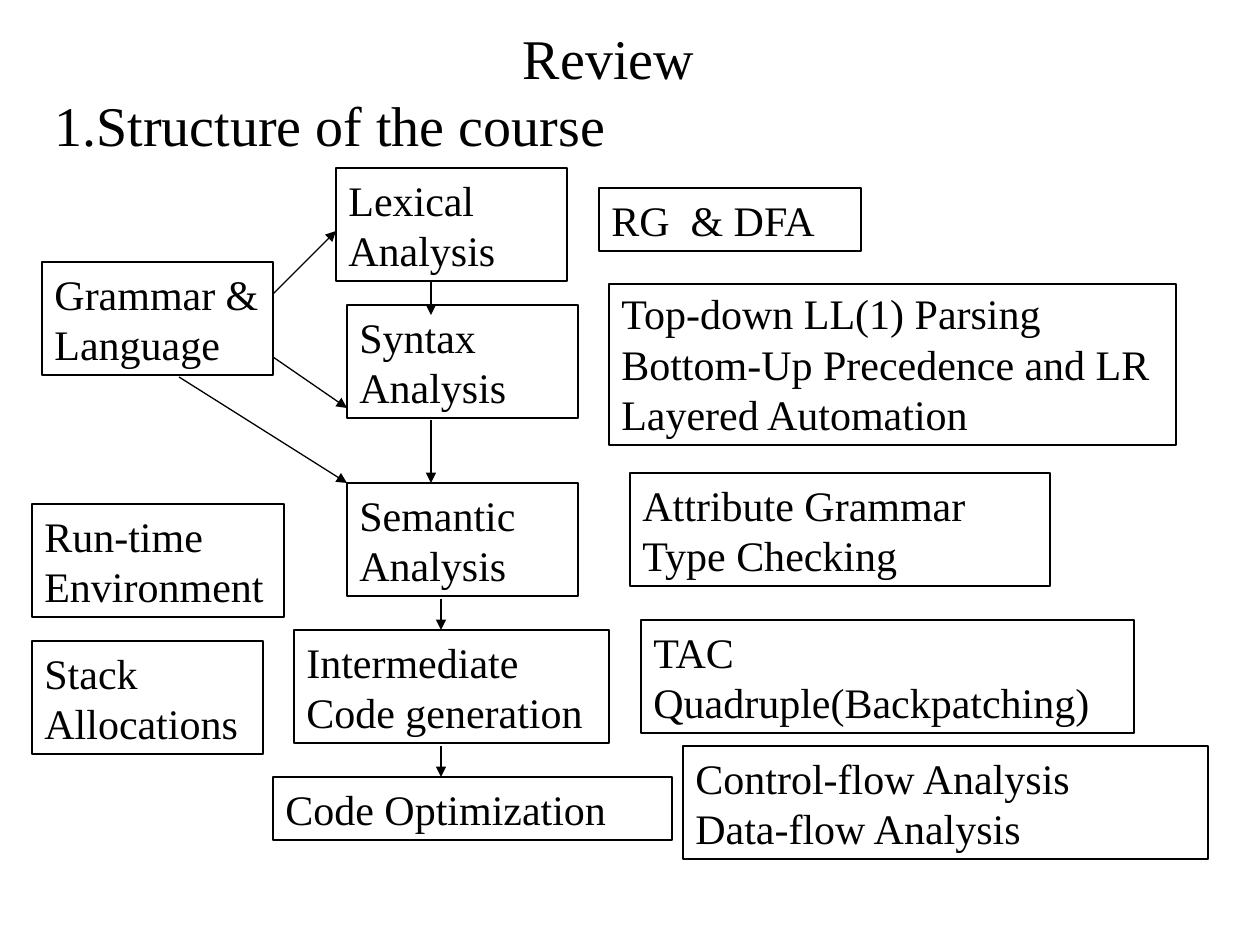
from dataclasses import dataclass

from lxml import etree
from pptx import Presentation
from pptx.dml.color import RGBColor
from pptx.enum.shapes import MSO_CONNECTOR, MSO_SHAPE
from pptx.enum.text import MSO_ANCHOR, MSO_AUTO_SIZE, PP_ALIGN
from pptx.oxml.ns import qn
from pptx.util import Emu, Pt

RECT, STRAIGHT = MSO_SHAPE.RECTANGLE, MSO_CONNECTOR.STRAIGHT
TOP, MIDDLE = MSO_ANCHOR.TOP, MSO_ANCHOR.MIDDLE
LEFT, CENTER = PP_ALIGN.LEFT, PP_ALIGN.CENTER
NO_FIT = MSO_AUTO_SIZE.NONE


@dataclass(frozen=True)
class Theme:
    font: str = "Times New Roman"
    ink: RGBColor = RGBColor(0, 0, 0)
    heading: int = 32
    label: int = 24
    leading: float = 1.2
    border: float = 0.75


theme = Theme()


def px(n):
    return Emu(round(n * 914400 / 126))


def write(s, lines, size, align=LEFT, anchor=TOP, leading=theme.leading, gap=0):
    """Fill a shape with one paragraph per line; gap is the points between them."""
    tf = s.text_frame
    tf.word_wrap = True
    tf.auto_size = NO_FIT
    tf.vertical_anchor = anchor
    for i, line in enumerate(lines):
        p = tf.add_paragraph() if i else tf.paragraphs[0]
        p.alignment = align
        p.line_spacing = Pt(size * leading)
        p.space_before = Pt(gap if i else 0)
        r = p.add_run()
        r.text = line
        r.font.name = theme.font
        r.font.size = Pt(size)
        r.font.color.rgb = theme.ink


prs = Presentation()
prs.slide_width, prs.slide_height = px(1260), px(945)
slide = prs.slides.add_slide(prs.slide_layouts[1])

# Headings
title, body = slide.placeholders
title.left, title.top, title.width, title.height = px(94), px(21), px(1029), px(73)
write(title, ["Review"], theme.heading, CENTER, MIDDLE)
body.left, body.top, body.width, body.height = px(42), px(84), px(1134), px(735)
pPr = body.text_frame.paragraphs[0]._p.get_or_add_pPr()
pPr.set("marL", str(px(48)))
pPr.set("indent", str(-px(48)))
etree.SubElement(pPr, qn("a:buNone"))
write(body, ["1.Structure of the course"], theme.heading)

# Boxes: left, top, width, height, lines
ONE_LINE, TWO_LINES, THREE_LINES = 63, 113, 161
boxes = [
    (336, 168, 231, TWO_LINES, ["Lexical Analysis"]),
    (347, 305, 231, TWO_LINES, ["Syntax Analysis"]),
    (347, 483, 231, TWO_LINES, ["Semantic Analysis"]),
    (294, 630, 315, TWO_LINES, ["Intermediate Code generation"]),
    (273, 777, 399, ONE_LINE, ["Code Optimization"]),
    (42, 262, 231, TWO_LINES, ["Grammar & Language"]),
    (32, 504, 252, TWO_LINES, ["Run-time Environment"]),
    (32, 641, 231, TWO_LINES, ["Stack Allocations"]),
    (599, 188, 262, ONE_LINE, ["RG  & DFA"]),
    (609, 284, 567, THREE_LINES,
     ["Top-down LL(1) Parsing", "Bottom-Up Precedence and LR", "Layered Automation"]),
    (630, 473, 420, TWO_LINES, ["Attribute Grammar", "Type Checking"]),
    (641, 620, 493, TWO_LINES, ["TAC", "Quadruple(Backpatching)"]),
    (683, 746, 525, TWO_LINES, ["Control-flow Analysis", "Data-flow Analysis"]),
]
for x, y, w, h, lines in boxes:
    s = slide.shapes.add_shape(RECT, px(x), px(y), px(w), px(h))
    s.shadow.inherit = False
    s.fill.background()
    s.line.color.rgb = theme.ink
    s.line.width = Pt(theme.border)
    if h == THREE_LINES:
        write(s, lines, theme.label, leading=1.14, gap=1.5)
    else:
        write(s, lines, theme.label)

# Arrows: from x, y to x, y
arrows = [
    (273, 294, 336, 231),
    (273, 357, 347, 408),
    (179, 377, 347, 483),
    (431, 282, 431, 315),
    (431, 420, 431, 483),
    (441, 599, 441, 630),
    (441, 746, 441, 777),
]
for ends in arrows:
    arrow = slide.shapes.add_connector(STRAIGHT, *map(px, ends))
    arrow.line.color.rgb = theme.ink
    arrow.line.width = Pt(theme.border)
    etree.SubElement(arrow.line._get_or_add_ln(), qn("a:tailEnd"), type="triangle")
    etree.SubElement(arrow._element.spPr, qn("a:effectLst"))

prs.save("out.pptx")
